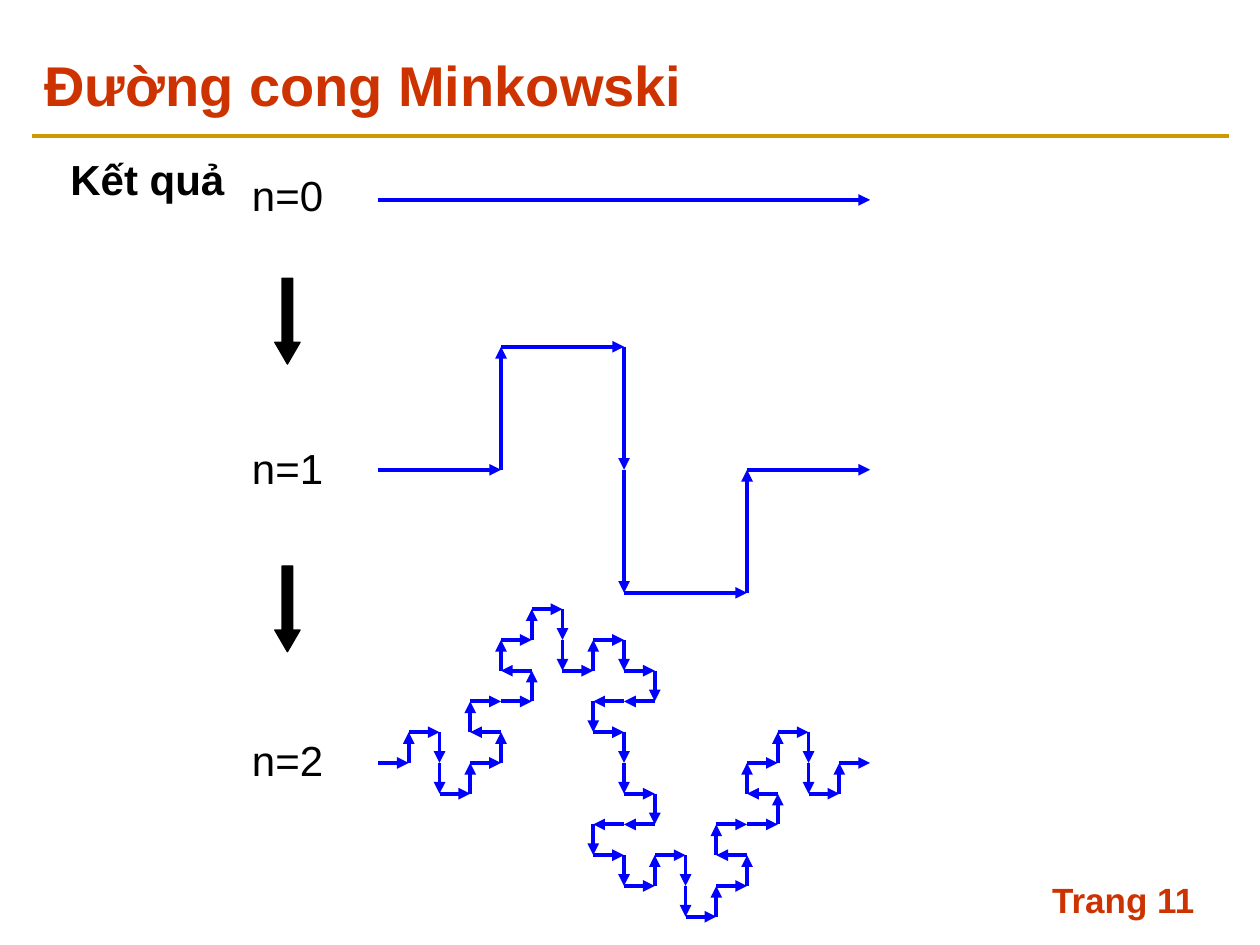
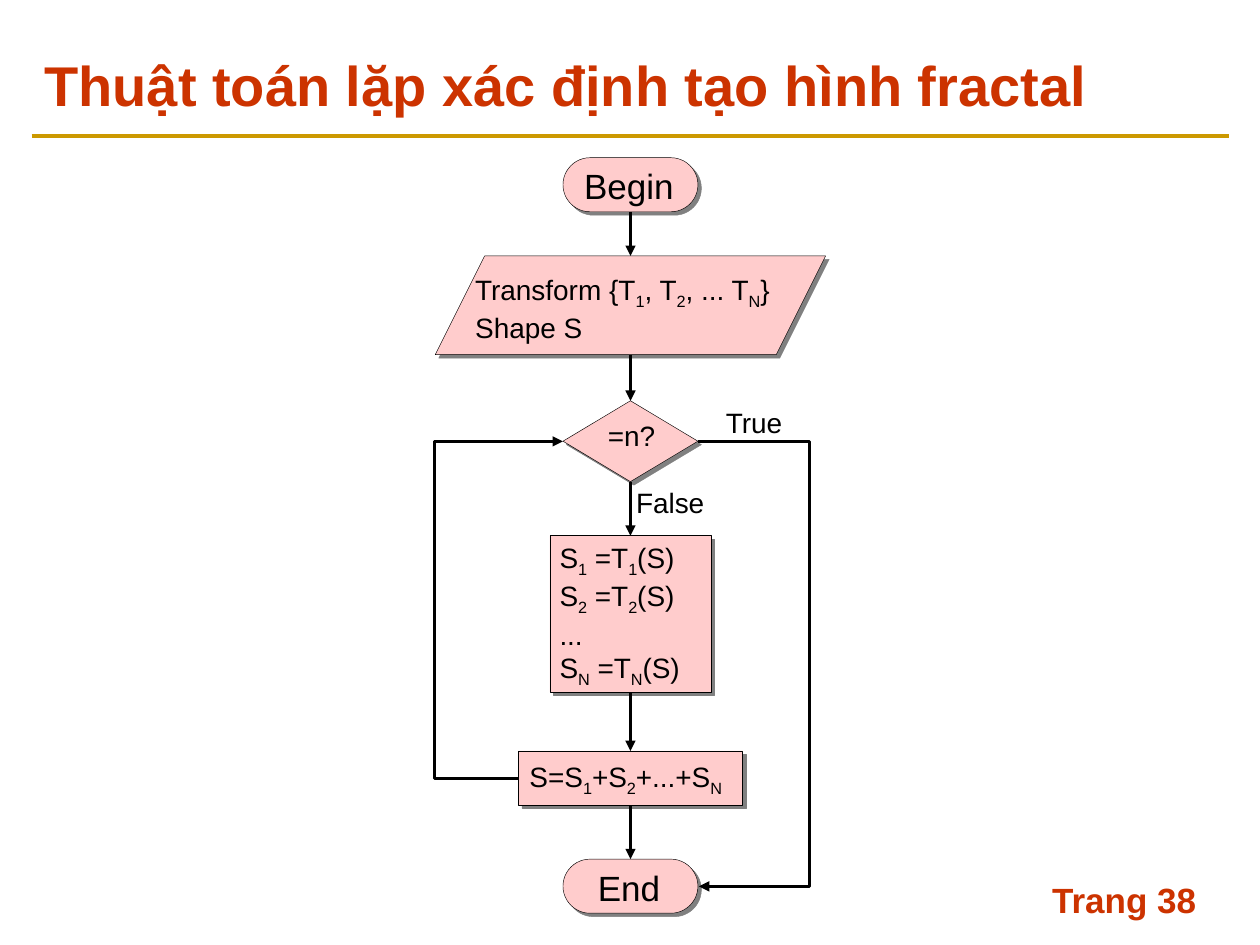
from itertools import pairwise

from lxml import etree
from pptx import Presentation
from pptx.dml.color import RGBColor
from pptx.enum.shapes import MSO_CONNECTOR as Connector, MSO_SHAPE as Preset
from pptx.enum.text import MSO_ANCHOR as Anchor, MSO_AUTO_SIZE as AutoSize, PP_ALIGN as Align
from pptx.oxml.ns import qn
from pptx.util import Cm, Pt

FONT = "Arial"
RED, GOLD, BLACK, BLUE = "CC3300", "CC9900", "000000", "0000FF"
PINK, GREY = "FFCCCC", "808080"
TITLE_ONLY = 5
CURVE_LEFT, CURVE_WIDTH = 7.62, 9.92
MINKOWSKI_TURNS = (0, 1, 0, -1, -1, 0, 1, 0)
HEADINGS = ((1, 0), (0, -1), (-1, 0), (0, 1))
FLOW_CENTRE = 12.71


def rgb(color):
    """Turn a hex string into a colour."""
    return RGBColor.from_string(color)


def add_runs(paragraph, text, size, color, bold=False):
    """Add runs to a paragraph; parts between underscores are subscripts."""
    for index, part in enumerate(text.split("_")):
        if not part:
            continue
        run = paragraph.add_run()
        run.text = part
        run.font.name, run.font.size, run.font.bold = FONT, Pt(size), bold
        run.font.color.rgb = rgb(color)
        if index % 2:
            run._r.get_or_add_rPr().set("baseline", "-25000")


def add_text(slide, left, top, width, height, text, size, color=BLACK, bold=False):
    """Add a wrapping text box with one paragraph."""
    box = slide.shapes.add_textbox(Cm(left), Cm(top), Cm(width), Cm(height))
    box.text_frame.word_wrap = True
    add_runs(box.text_frame.paragraphs[0], text, size, color, bold)


def add_label(slide, left, top, width, height, lines, size, align=Align.LEFT):
    """Add a tight label without margins, one paragraph a line."""
    box = slide.shapes.add_textbox(Cm(left), Cm(top), Cm(width), Cm(height))
    frame = box.text_frame
    frame.margin_left = frame.margin_right = frame.margin_top = frame.margin_bottom = 0
    frame.word_wrap, frame.auto_size = False, AutoSize.SHAPE_TO_FIT_TEXT
    for index, line in enumerate(lines):
        paragraph = frame.add_paragraph() if index else frame.paragraphs[0]
        paragraph.alignment = align
        add_runs(paragraph, line, size, BLACK)


def add_line(shapes, start, end, color, width, arrow=True, kind=Connector.STRAIGHT):
    """Add a connector between two points given in EMU."""
    line = shapes.add_connector(kind, *start, *end)
    line.line.color.rgb = rgb(color)
    line.line.width = Pt(width)
    if arrow:
        etree.SubElement(line.line._get_or_add_ln(), qn("a:tailEnd"), type="triangle")
    etree.SubElement(line._element.spPr, qn("a:effectLst"))
    return line


def add_elbow(slide, start, end, turn_x):
    """Add a bent arrow whose middle part runs at turn_x."""
    line = add_line(slide.shapes, map(Cm, start), map(Cm, end), BLACK, 1.5, kind=Connector.ELBOW)
    ratio = (turn_x - start[0]) / (end[0] - start[0])
    guides = line._element.spPr.find(qn("a:prstGeom")).get_or_add_avLst()
    etree.SubElement(guides, qn("a:gd"), name="adj1", fmla=f"val {round(ratio * 100000)}")


def add_preset(slide, kind, left, top, width, height, fill, line_width, adjustments=()):
    """Add a filled preset shape with a black outline and no shadow."""
    shape = slide.shapes.add_shape(kind, Cm(left), Cm(top), Cm(width), Cm(height))
    shape.shadow.inherit = False
    shape.fill.solid()
    shape.fill.fore_color.rgb = rgb(fill)
    shape.line.color.rgb = rgb(BLACK)
    shape.line.width = Pt(line_width)
    for index, value in enumerate(adjustments):
        shape.adjustments[index] = value
    return shape


def add_step(slide, kind, top, width, height, adjustments=()):
    """Add a centred flowchart step with a hard grey shadow."""
    left = FLOW_CENTRE - width / 2
    shape = add_preset(slide, kind, left, top, width, height, PINK, 0.25, adjustments)
    effects = shape._element.spPr.find(qn("a:effectLst"))
    shadow = etree.SubElement(effects, qn("a:outerShdw"), dist=str(Pt(2.8)),
                              dir="2700000", algn="ctr", rotWithShape="0")
    etree.SubElement(shadow, qn("a:srgbClr"), val=GREY)
    return shape


def join_steps(slide, upper, lower):
    """Draw an arrow down from one step to the next."""
    centre = Cm(FLOW_CENTRE)
    arrow = add_line(slide.shapes, (centre, upper.top + upper.height),
                     (centre, lower.top), BLACK, 1.5)
    if upper.auto_shape_type != Preset.PARALLELOGRAM:
        arrow.begin_connect(upper, 2)
    if lower.auto_shape_type != Preset.PARALLELOGRAM:
        arrow.end_connect(lower, 0)


def add_curve(slide, level, baseline):
    """Draw the Minkowski curve of a level as a chain of arrows."""
    turns = [0]
    for _ in range(level):
        turns = [turn + extra for turn in turns for extra in MINKOWSKI_TURNS]
    step = CURVE_WIDTH / 4 ** level
    points = [(CURVE_LEFT, baseline)]
    for turn in turns:
        across, down = HEADINGS[turn % 4]
        x, y = points[-1]
        points.append((x + across * step, y + down * step))
    shapes = slide.shapes.add_group_shape().shapes if level else slide.shapes
    for start, end in pairwise(points):
        add_line(shapes, map(Cm, start), map(Cm, end), BLUE, 2.25)


def add_slide(presentation, title, page):
    """Add a slide with its title, gold rule and page number."""
    slide = presentation.slides.add_slide(presentation.slide_layouts[TITLE_ONLY])
    heading = slide.shapes.title
    heading.left, heading.top, heading.width, heading.height = map(Cm, (0.64, 0.84, 24.13, 1.7))
    frame = heading.text_frame
    frame.vertical_anchor, frame.auto_size = Anchor.MIDDLE, AutoSize.NONE
    frame.paragraphs[0].alignment = Align.LEFT
    add_runs(frame.paragraphs[0], title, 32, RED, True)
    add_line(slide.shapes, map(Cm, (0.64, 2.74)), map(Cm, (24.77, 2.74)), GOLD, 2.25, arrow=False)
    add_text(slide, 20.96, 17.58, 3.81, 1.27, f"Trang {page}", 20, RED, True)
    return slide


def build_minkowski(presentation):
    """Show three levels of the Minkowski curve."""
    slide = add_slide(presentation, "Đường cong Minkowski", 11)
    add_text(slide, 1.17, 2.97, 23.11, 14.6, "Kết quả", 24, bold=True)
    for level, (label_top, baseline) in enumerate(((3.42, 4.03), (8.92, 9.47), (14.81, 15.38))):
        add_label(slide, 5.08, label_top, 1.6, 1.02, [f"n={level}"], 24)
        add_curve(slide, level, baseline)
    for top in (5.61, 11.41):
        add_preset(slide, Preset.DOWN_ARROW, 5.54, top, 0.51, 1.73, BLACK, 0.75, (0.42, 0.86))


def build_flowchart(presentation):
    """Show the deterministic iteration algorithm as a flowchart."""
    slide = add_slide(presentation, "Thuật toán lặp xác định tạo hình fractal", 38)
    steps = [
        add_step(slide, Preset.ROUNDED_RECTANGLE, 3.18, 2.72, 1.09, (0.5,)),
        add_step(slide, Preset.PARALLELOGRAM, 5.16, 7.87, 1.99, (0.5,)),
        add_step(slide, Preset.DIAMOND, 8.08, 2.72, 1.63),
        add_step(slide, Preset.RECTANGLE, 10.8, 3.25, 3.15),
        add_step(slide, Preset.RECTANGLE, 15.14, 4.52, 1.09),
        add_step(slide, Preset.ROUNDED_RECTANGLE, 17.32, 2.72, 1.09, (0.5,)),
    ]
    for upper, lower in pairwise(steps):
        join_steps(slide, upper, lower)
    add_elbow(slide, (14.07, 8.9), (14.09, 17.87), 16.32)
    add_elbow(slide, (10.45, 15.69), (11.35, 8.9), 8.76)

    add_label(slide, 9.58, 5.49, 6.12, 1.35,
              ["Transform {T_1_, T_2_, ... T_N_}", "Shape S"], 16)
    add_label(slide, 11.28, 10.9, 2.84, 2.72,
              ["S_1_ =T_1_(S)", "S_2_ =T_2_(S)", "...", "S_N_ =T_N_(S)"], 16)
    for left, top, width, height, text, size in (
        (11.48, 3.31, 2.4, 0.84, "Begin", 20),
        (11.78, 17.46, 1.8, 0.84, "End", 20),
        (10.51, 15.32, 4.21, 0.69, "S=S_1_+S_2_+...+S_N_", 16),
        (11.98, 8.43, 1.5, 0.69, "=n?", 16),
        (12.51, 9.78, 2, 0.69, "False", 16),
        (14.35, 8.18, 1.7, 0.69, "True", 16),
    ):
        add_label(slide, left, top, width, height, [text], size, Align.CENTER)


def main():
    """Build and save the presentation."""
    presentation = Presentation()
    presentation.slide_width, presentation.slide_height = Cm(25.4), Cm(19.05)
    build_minkowski(presentation)
    build_flowchart(presentation)
    presentation.save("out.pptx")


if __name__ == "__main__":
    main()
